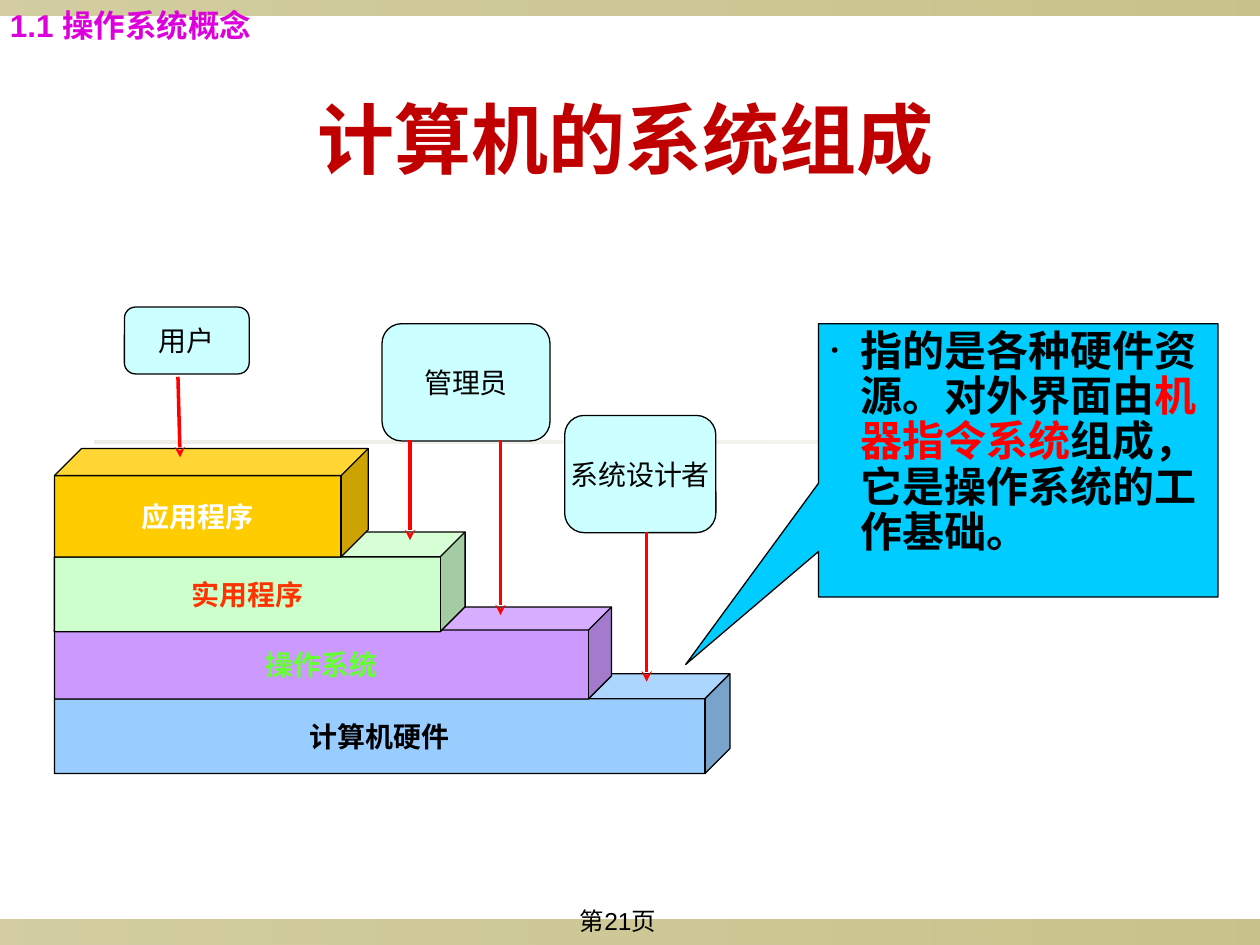
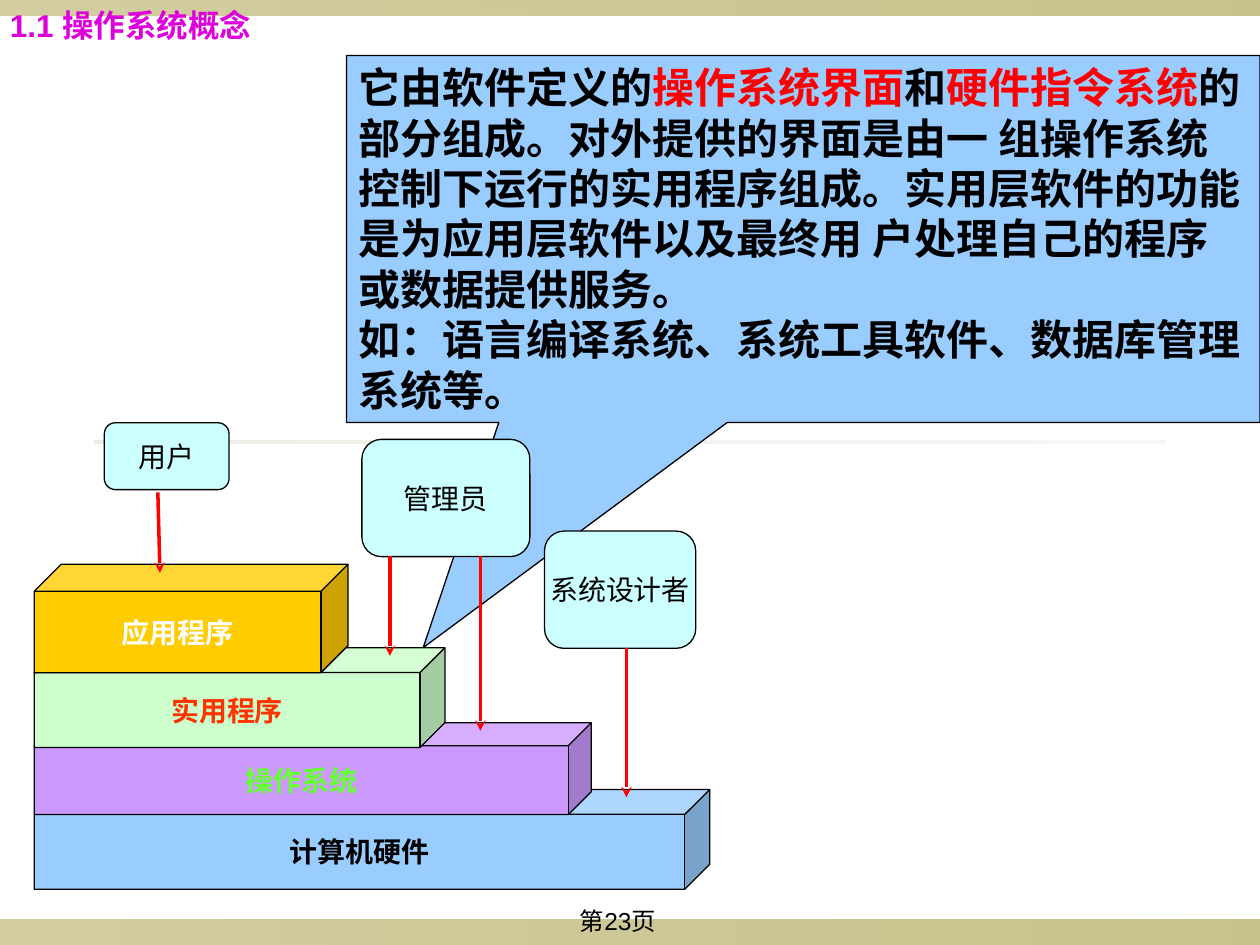
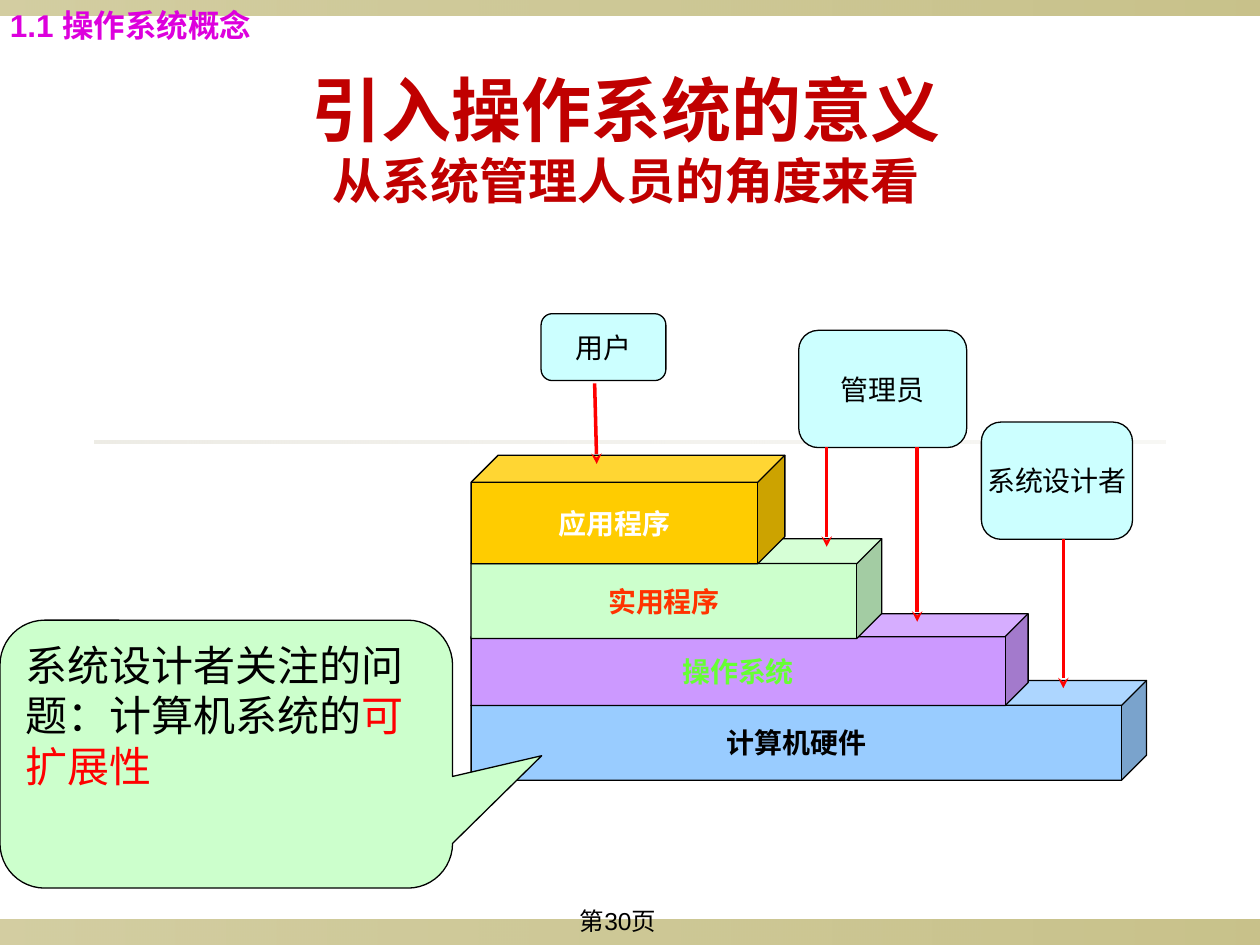
from dataclasses import dataclass
from typing import NamedTuple, Optional

from pptx import Presentation
from pptx.dml.color import RGBColor
from pptx.enum.shapes import MSO_CONNECTOR, MSO_SHAPE
from pptx.enum.text import MSO_ANCHOR, MSO_AUTO_SIZE, PP_ALIGN
from pptx.oxml.ns import qn
from pptx.oxml.xmlchemy import OxmlElement
from pptx.util import Pt

BLACK = RGBColor(0x00, 0x00, 0x00)
WHITE = RGBColor(0xFF, 0xFF, 0xFF)
RED = RGBColor(0xFF, 0x00, 0x00)
TITLE_RED = RGBColor(0xC0, 0x00, 0x00)
MAGENTA = RGBColor(0xDD, 0x00, 0xDD)
ORANGE_RED = RGBColor(0xFF, 0x33, 0x00)
LIME = RGBColor(0x66, 0xFF, 0x33)
OLIVE = RGBColor(0x91, 0x84, 0x15)
RULE_GRAY = RGBColor(0xDC, 0xD9, 0xCC)
CYAN = RGBColor(0x00, 0xCC, 0xFF)
PALE_CYAN = RGBColor(0xCC, 0xFF, 0xFF)
BLUE = RGBColor(0x99, 0xCC, 0xFF)
PURPLE = RGBColor(0xCC, 0x99, 0xFF)
GREEN = RGBColor(0xCC, 0xFF, 0xCC)
GOLD = RGBColor(0xFF, 0xCC, 0x00)

TITLE_FONT = "Karla"
BODY_FONT = "Arial"
SERIF_FONT = "Times New Roman"


class Box(NamedTuple):
    x: float
    y: float
    w: float
    h: float

    def moved(self, dx: float, dy: float) -> "Box":
        return Box(self.x + dx, self.y + dy, self.w, self.h)

    def lengths(self):
        return [Pt(v) for v in self]


class Band(NamedTuple):
    box: Box
    color: RGBColor
    alphas: tuple


class Run(NamedTuple):
    text: str
    size: float
    color: RGBColor = BLACK


class Part(NamedTuple):
    kind: MSO_SHAPE
    box: Box
    fill: RGBColor
    text: str
    color: RGBColor = BLACK
    bold: bool = False


class Arrow(NamedTuple):
    x1: float
    y1: float
    x2: float
    y2: float


@dataclass
class Callout:
    kind: MSO_SHAPE
    box: Box
    tip: tuple
    fill: RGBColor
    runs: list
    font: str = SERIF_FONT
    bold: bool = True
    bullet: bool = False
    on_top: bool = False


@dataclass
class Page:
    number: int
    origin: tuple
    callout: Callout
    title: Optional[list] = None


BANDS = [
    Band(Box(0, 525.6, 720, 14.4), OLIVE, (40, 50)),
    Band(Box(0, 0, 720, 8.64), OLIVE, (40, 50)),
    Band(Box(54, 252, 612, 1.44), RULE_GRAY, (50, 20)),
]
TITLE_BOX = Box(33.84, 33.84, 648, 90)
FOOTER_BOX = Box(269.28, 514.08, 167.76, 25.92)
SECTION_BOX = Box(-1.44, 0, 156.24, 28.8)

CUBE, ROUND = MSO_SHAPE.CUBE, MSO_SHAPE.ROUNDED_RECTANGLE
DIAGRAM = [
    Part(CUBE, Box(0, 209.5, 386, 57), BLUE, "计算机硬件", BLACK, True),
    Part(CUBE, Box(0, 171.4, 318.3, 52.5), PURPLE, "操作系统", LIME, True),
    Part(CUBE, Box(0, 128.5, 234.7, 57), GREEN, "实用程序", ORANGE_RED, True),
    Part(CUBE, Box(0, 80.8, 179.3, 62), GOLD, "应用程序", WHITE, True),
    Part(ROUND, Box(291.6, 61.9, 86.4, 67), PALE_CYAN, "系统设计者"),
    Arrow(338.4, 128.5, 338.4, 214),
    Part(ROUND, Box(187.2, 9.5, 96, 67), PALE_CYAN, "管理员"),
    Arrow(254.9, 76, 254.9, 176),
    Arrow(203.2, 76, 203.2, 133.2),
    Part(ROUND, Box(40, 0, 71.3, 38.2), PALE_CYAN, "用户"),
    Arrow(70.6, 39.8, 71.8, 85.8),
]

PAGES = [
    Page(
        21, (31.1, 175.5),
        Callout(
            MSO_SHAPE.RECTANGULAR_CALLOUT, Box(467.8, 185, 228.2, 156.2),
            (-0.833, 0.747), CYAN,
            [Run("指的是各种硬件资源。对外界面由", 24),
             Run("机器指令系统", 24, RED),
             Run("组成，它是操作系统的工作基础。", 24)],
            bullet=True),
        [Run("计算机的系统组成", 44, TITLE_RED)]),
    Page(
        23, (19.6, 241.6),
        Callout(
            MSO_SHAPE.RECTANGULAR_CALLOUT, Box(198, 31.7, 522, 209.8),
            (-0.416, 1.113), BLUE,
            [Run("它由软件定义的", 24),
             Run("操作系统界面", 24, RED),
             Run("和", 24),
             Run("硬件指令系统", 24, RED),
             Run("的部分组成。对外提供的界面是由一 组操作系统控制下运行的实用程序组成。"
                 "实用层软件的功能是为应用层软件以及最终用 户处理自己的程序或数据提供服务。\n"
                 "如：语言编译系统、系统工具软件、数据库管理系统等。", 24)])),
    Page(
        30, (269.2, 179.3),
        Callout(
            MSO_SHAPE.ROUNDED_RECTANGULAR_CALLOUT, Box(0, 354.4, 258.6, 153.1),
            (0.697, 0.006, 0.167), GREEN,
            [Run("系统设计者关注的问题：计算机系统的", 24),
             Run("可扩展性", 24, RED)],
            BODY_FONT, bold=False, on_top=True),
        [Run("引入操作系统的意义", 40, TITLE_RED),
         Run("\n从系统管理人员的角度来看", 28, TITLE_RED)]),
]


def write_runs(p, runs: list, font: str, bold: bool, align=PP_ALIGN.LEFT) -> None:
    p.alignment = align
    for run in runs:
        for i, line in enumerate(run.text.split("\n")):
            if i:
                p.add_line_break()
            if line:
                r = p.add_run()
                r.text = line
                r.font.name = font
                r.font.size = Pt(run.size)
                r.font.bold = bold
                r.font.color.rgb = run.color


def add_band(slide, band: Band) -> None:
    sp = slide.shapes.add_shape(MSO_SHAPE.RECTANGLE, *band.box.lengths())
    sp.shadow.inherit = False
    sp.line.fill.background()
    sp.fill.gradient()
    sp.fill.gradient_angle = 0
    for stop, percent in zip(sp.fill.gradient_stops, band.alphas):
        stop.color.rgb = band.color
    for clr, percent in zip(sp.element.spPr.iter(qn("a:srgbClr")), band.alphas):
        alpha = OxmlElement("a:alpha")
        alpha.set("val", str(percent * 1000))
        clr.append(alpha)


def add_outlined(slide, kind: MSO_SHAPE, box: Box, fill: RGBColor):
    sp = slide.shapes.add_shape(kind, *box.lengths())
    sp.shadow.inherit = False
    sp.fill.solid()
    sp.fill.fore_color.rgb = fill
    sp.line.color.rgb = BLACK
    sp.line.width = Pt(0.75)
    return sp


def add_part(slide, part: Part, dx: float, dy: float) -> None:
    sp = add_outlined(slide, part.kind, part.box.moved(dx, dy), part.fill)
    tf = sp.text_frame
    tf.word_wrap = False
    tf.vertical_anchor = MSO_ANCHOR.MIDDLE
    write_runs(tf.paragraphs[0], [Run(part.text, 16, part.color)],
               BODY_FONT, part.bold, PP_ALIGN.CENTER)


def add_arrow(slide, arrow: Arrow, dx: float, dy: float) -> None:
    cxn = slide.shapes.add_connector(
        MSO_CONNECTOR.STRAIGHT,
        Pt(arrow.x1 + dx), Pt(arrow.y1 + dy), Pt(arrow.x2 + dx), Pt(arrow.y2 + dy))
    cxn.line.color.rgb = RED
    cxn.line.width = Pt(2)
    tail = OxmlElement("a:tailEnd")
    tail.set("type", "stealth")
    cxn.line._get_or_add_ln().append(tail)
    cxn._element.spPr.append(OxmlElement("a:effectLst"))


def add_diagram(slide, origin: tuple) -> None:
    for item in DIAGRAM:
        draw = add_arrow if isinstance(item, Arrow) else add_part
        draw(slide, item, *origin)


def set_bullet(p) -> None:
    pPr = p._p.get_or_add_pPr()
    pPr.set("marL", str(Pt(17)))
    pPr.set("indent", str(-Pt(17)))
    bu_color = OxmlElement("a:buClr")
    rgb = OxmlElement("a:srgbClr")
    rgb.set("val", str(BLACK))
    bu_color.append(rgb)
    pPr.append(bu_color)
    for tag, attr, value in (("a:buSzPct", "val", "50000"),
                             ("a:buFont", "typeface", BODY_FONT),
                             ("a:buChar", "char", "•")):
        el = OxmlElement(tag)
        el.set(attr, value)
        pPr.append(el)
    p.line_spacing = 0.9


def add_callout(slide, callout: Callout) -> None:
    sp = add_outlined(slide, callout.kind, callout.box, callout.fill)
    for i, value in enumerate(callout.tip):
        sp.adjustments[i] = value
    tf = sp.text_frame
    tf.word_wrap = True
    tf.vertical_anchor = MSO_ANCHOR.TOP
    p = tf.paragraphs[0]
    if callout.bullet:
        set_bullet(p)
    write_runs(p, callout.runs, callout.font, callout.bold)


def set_title(slide, runs: list) -> None:
    sp = slide.shapes.title
    sp.left, sp.top, sp.width, sp.height = TITLE_BOX.lengths()
    tf = sp.text_frame
    tf.word_wrap = True
    tf.auto_size = MSO_AUTO_SIZE.NONE
    tf.vertical_anchor = MSO_ANCHOR.MIDDLE
    write_runs(tf.paragraphs[0], runs, TITLE_FONT, True, PP_ALIGN.CENTER)


def add_frame(slide, number: int) -> None:
    for band in BANDS:
        add_band(slide, band)
    tf = slide.shapes.add_textbox(*FOOTER_BOX.lengths()).text_frame
    tf.word_wrap = True
    write_runs(tf.paragraphs[0], [Run(f"第{number}页", 14)],
               BODY_FONT, False, PP_ALIGN.CENTER)


def add_section(slide) -> None:
    tf = slide.shapes.add_textbox(*SECTION_BOX.lengths()).text_frame
    tf.word_wrap = False
    tf.auto_size = MSO_AUTO_SIZE.SHAPE_TO_FIT_TEXT
    write_runs(tf.paragraphs[0], [Run("1.1 操作系统概念", 18, MAGENTA)],
               BODY_FONT, True)


def add_page(prs, page: Page) -> None:
    slide = prs.slides.add_slide(prs.slide_layouts[5 if page.title else 6])
    add_frame(slide, page.number)
    if page.title:
        set_title(slide, page.title)
    if not page.callout.on_top:
        add_callout(slide, page.callout)
    add_diagram(slide, page.origin)
    if page.callout.on_top:
        add_callout(slide, page.callout)
    add_section(slide)


def main() -> None:
    prs = Presentation()
    prs.slide_width, prs.slide_height = Pt(720), Pt(540)
    for page in PAGES:
        add_page(prs, page)
    prs.save("out.pptx")


if __name__ == "__main__":
    main()
